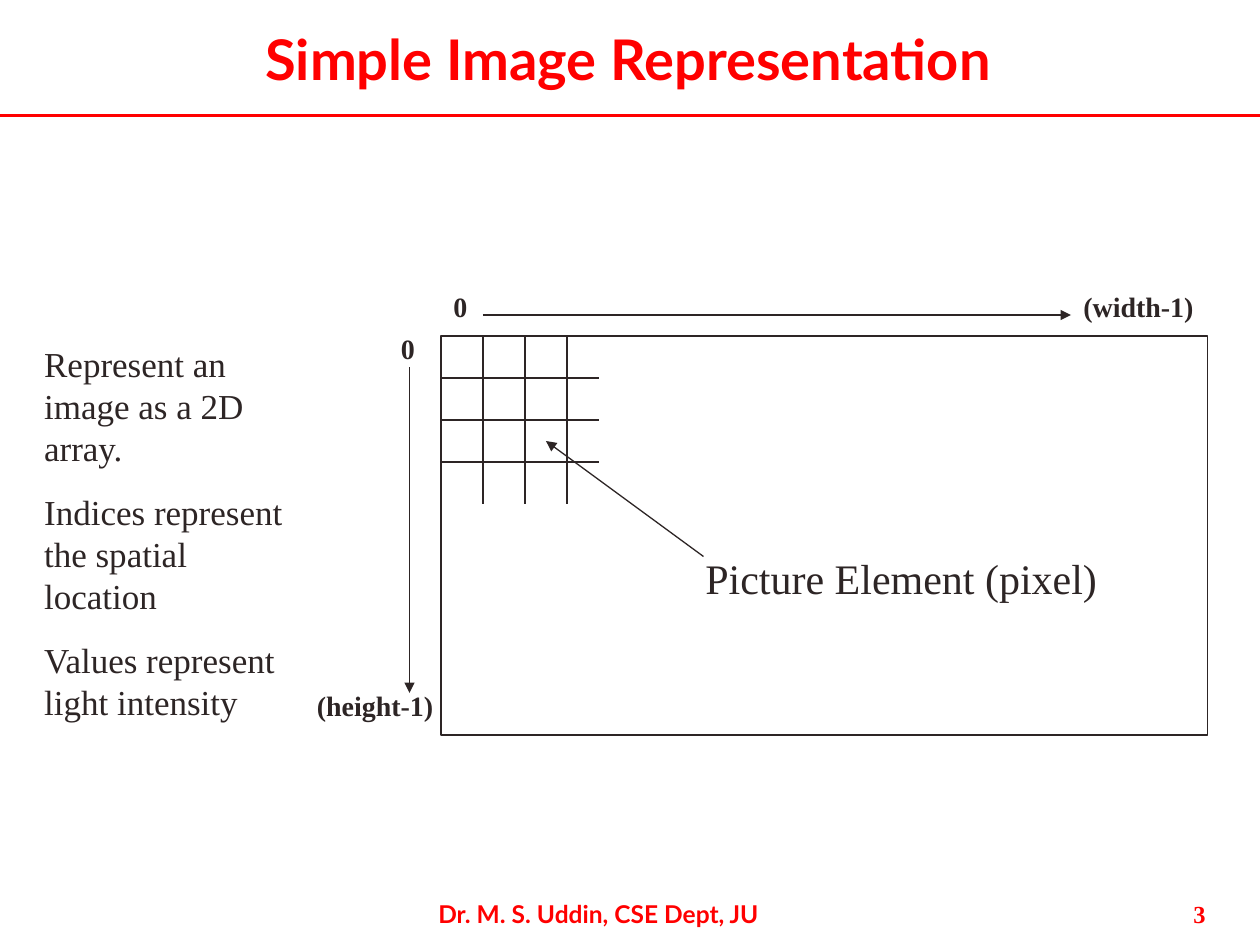
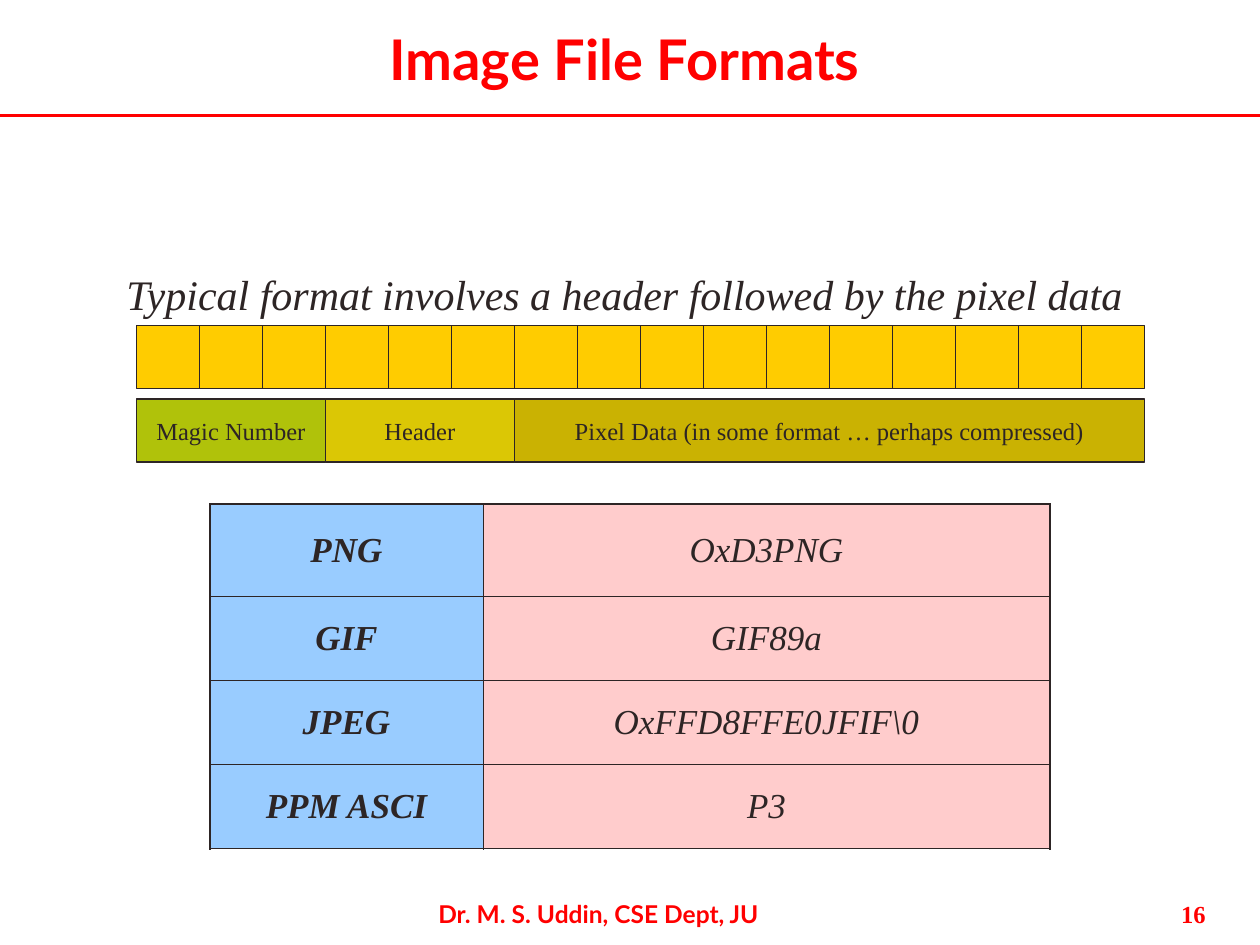
from lxml.etree import SubElement
from pptx import Presentation
from pptx.dml.color import RGBColor
from pptx.enum.shapes import MSO_CONNECTOR, MSO_SHAPE
from pptx.enum.text import MSO_ANCHOR, MSO_AUTO_SIZE, PP_ALIGN
from pptx.oxml.ns import qn
from pptx.util import Pt

RED, INK, WHITE = "FF0000", "2D2525", "FFFFFF"
BYTE_FILL, NAME_FILL, MAGIC_FILL = "FFCC00", "99CCFF", "FFCCCC"
SANS, SERIF = "Lato", "Times New Roman"


def color(hex_text):
    return RGBColor.from_string(hex_text)


def write(frame, text, size=14, font=SERIF, ink=INK, bold=False, italic=False,
          align=PP_ALIGN.LEFT, anchor=MSO_ANCHOR.TOP, gap=0):
    """Fill a text frame, one paragraph per line of text."""
    frame.word_wrap = True
    frame.vertical_anchor = anchor
    for index, line in enumerate(text.split("\n")):
        para = frame.add_paragraph() if index else frame.paragraphs[0]
        properties = para._p.get_or_add_pPr()
        properties.set("marL", "0")
        properties.set("indent", "0")
        SubElement(properties, qn("a:buNone"))
        para.alignment = align
        para.space_before = Pt(gap if index else 0)
        span = para.add_run()
        span.text = line
        span.font.size, span.font.name = Pt(size), font
        span.font.bold, span.font.italic = bold, italic
        span.font.color.rgb = color(ink)


class SlideWriter:
    """Holds the deck's style and the slide being drawn."""

    def __init__(self, deck):
        self.deck = deck
        self.page = None

    def start(self, title, number, left=18):
        layout = self.deck.slide_layouts.get_by_name("Title and Content")
        self.page = self.deck.slides.add_slide(layout)
        self.placeholder(0, title, (left, 12, 678, 42), size=32, font=SANS, ink=RED,
                         bold=True, align=PP_ALIGN.CENTER, anchor=MSO_ANCHOR.MIDDLE)
        self.line((0, 66), (720, 66), ink=RED, width=2.25)
        self.label("Dr. M. S. Uddin, CSE Dept, JU", (222, 510, 240, 30), font=SANS,
                   ink=RED, bold=True, align=PP_ALIGN.CENTER)
        self.label(number, (576, 510, 120, 30), ink=RED, bold=True,
                   align=PP_ALIGN.RIGHT)

    def placeholder(self, index, text, area, **style):
        box = self.page.placeholders[index]
        box.left, box.top, box.width, box.height = map(Pt, area)
        box.text_frame.auto_size = MSO_AUTO_SIZE.NONE
        write(box.text_frame, text, **style)

    def label(self, text, area, **style):
        box = self.page.shapes.add_textbox(*map(Pt, area))
        write(box.text_frame, text, **style)

    def rectangle(self, area, fill, text=""):
        box = self.page.shapes.add_shape(MSO_SHAPE.RECTANGLE, *map(Pt, area))
        box.shadow.inherit = False
        box.fill.solid()
        box.fill.fore_color.rgb = color(fill)
        box.line.color.rgb = color(INK)
        box.line.width = Pt(0.75)
        if text:
            write(box.text_frame, text, align=PP_ALIGN.CENTER, anchor=MSO_ANCHOR.MIDDLE)

    def line(self, start, end, ink=INK, width=0.75, arrow=False):
        connector = self.page.shapes.add_connector(
            MSO_CONNECTOR.STRAIGHT, *map(Pt, start + end))
        connector.line.color.rgb = color(ink)
        connector.line.width = Pt(width)
        if arrow:
            SubElement(connector.line._get_or_add_ln(), qn("a:tailEnd"), type="triangle")
        SubElement(connector._element.spPr, qn("a:effectLst"))

    def table(self, rows, left, top, widths, heights, fills):
        frame = self.page.shapes.add_table(len(rows), len(widths), Pt(left), Pt(top),
                                           Pt(sum(widths)), Pt(sum(heights)))
        table = frame.table
        table.first_row = table.horz_banding = False
        for column, width in zip(table.columns, widths):
            column.width = Pt(width)
        for r, (values, height) in enumerate(zip(rows, heights)):
            table.rows[r].height = Pt(height)
            for c, value in enumerate(values):
                cell = table.cell(r, c)
                outer = {"L": c == 0, "R": c == len(widths) - 1,
                         "T": r == 0, "B": r == len(rows) - 1}
                self.borders(cell, outer)
                cell.fill.solid()
                cell.fill.fore_color.rgb = color(fills[c])
                write(cell.text_frame, value, size=20, bold=c == 0, italic=True,
                      align=PP_ALIGN.CENTER)
                cell.vertical_anchor = MSO_ANCHOR.MIDDLE

    def borders(self, cell, outer):
        properties = cell._tc.get_or_add_tcPr()
        for side, is_outer in outer.items():
            width = Pt(1.08 if is_outer else 0.45)
            edge = SubElement(properties, qn(f"a:ln{side}"), w=str(width))
            SubElement(SubElement(edge, qn("a:solidFill")), qn("a:srgbClr"), val=INK)


def draw_representation(writer):
    writer.start("Simple Image Representation", "3", left=20)

    # Image frame with its first pixels
    left, top, pixel = 252, 192, 24
    writer.rectangle((left, top, 438, 228), WHITE)
    for step in range(1, 4):
        x, y = left + step * pixel, top + step * pixel
        writer.line((x, top), (x, top + 96))
        writer.line((left, y), (left + 90, y))

    # Pixel callout
    writer.label("Picture Element (pixel)", (396, 312, 246, 36), size=24)
    writer.line((402, 318), (312, 252), arrow=True)

    # Axes
    writer.line((276, 180), (612, 180), arrow=True)
    writer.line((234, 210), (234, 396), arrow=True)
    for text, x, y, width in (("0", 252, 162, 24), ("(width-1)", 612, 162, 90),
                              ("0", 222, 186, 24), ("(height-1)", 174, 390, 90)):
        writer.label(text, (x, y, width, 27), size=16, bold=True)

    # Explanation
    writer.placeholder(1, "Represent an image as a 2D array.\n"
                       "Indices represent the spatial location\n"
                       "Values represent light intensity",
                       (18, 192, 162, 225), size=20, gap=12.5)


def draw_formats(writer):
    writer.start("Image File Formats", "16")
    writer.placeholder(1, "Typical format involves a header followed by the pixel data",
                       (18, 150, 678, 42), size=24, italic=True, align=PP_ALIGN.CENTER)

    # Strip of bytes
    left, top, byte, count = 78, 186, 36, 16
    writer.rectangle((left, top, byte * count, byte), BYTE_FILL)
    for step in range(1, count):
        x = left + step * byte
        writer.line((x, top), (x, top + byte))

    # Sections of the file, measured in bytes
    x = left
    for text, length, fill in (
            ("Magic Number", 3, "B0C20A"), ("Header", 3, "DBC705"),
            ("Pixel Data (in some format … perhaps compressed)", 10, "CAB202")):
        writer.rectangle((x, 228, length * byte, byte), fill, text)
        x += length * byte

    # Magic numbers
    rows = (("PNG", "OxD3PNG"), ("GIF", "GIF89a"),
            ("JPEG", r"OxFFD8FFE0JFIF\0"), ("PPM ASCI", "P3"))
    writer.table(rows, 120, 288, (156, 324), (53, 48, 48, 48), (NAME_FILL, MAGIC_FILL))


def main():
    deck = Presentation()
    deck.slide_width, deck.slide_height = Pt(720), Pt(540)
    writer = SlideWriter(deck)
    draw_representation(writer)
    draw_formats(writer)
    deck.save("out.pptx")


if __name__ == "__main__":
    main()
